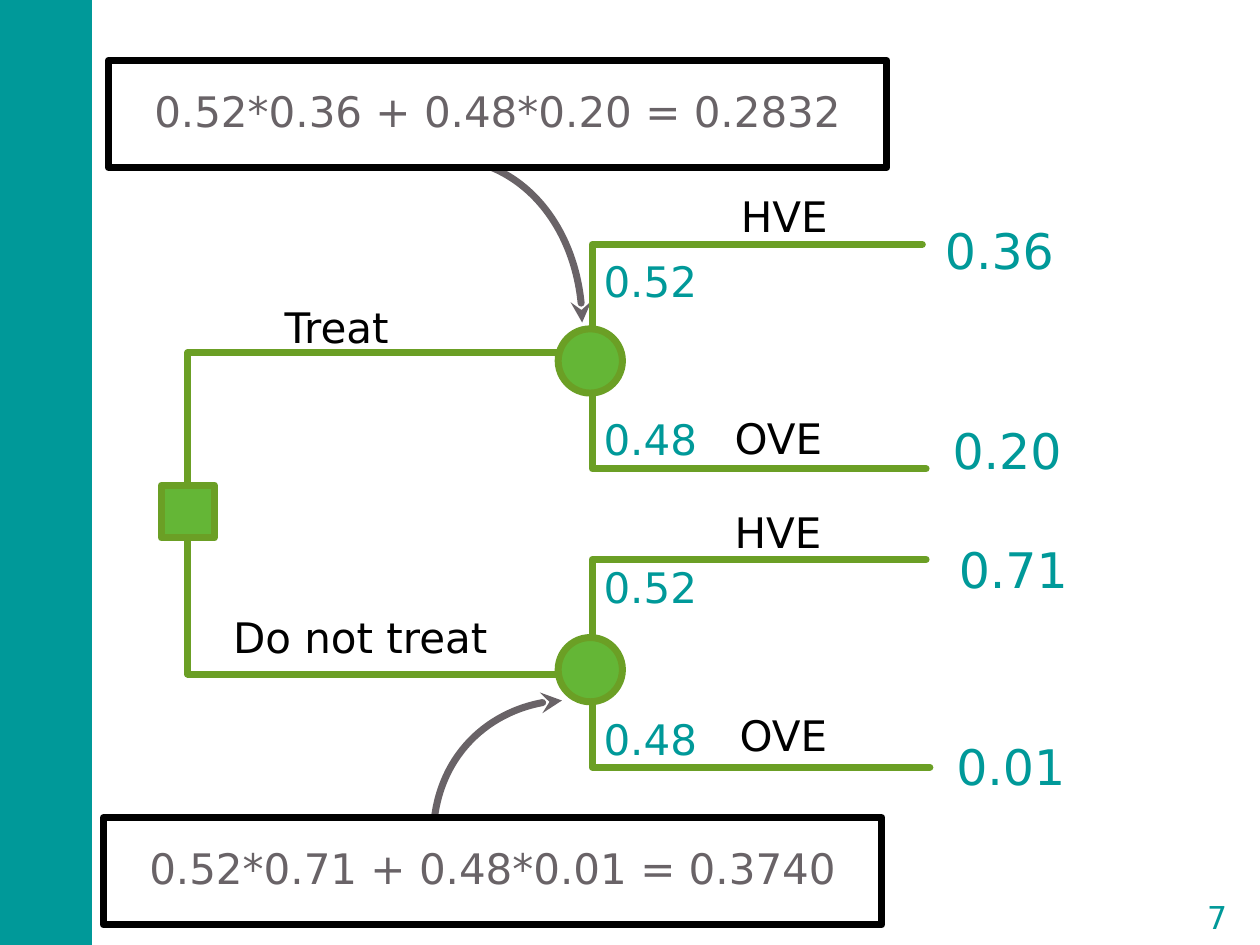
from lxml import etree
from pptx import Presentation
from pptx.dml.color import RGBColor
from pptx.enum.shapes import MSO_SHAPE
from pptx.enum.text import MSO_ANCHOR, MSO_AUTO_SIZE, PP_ALIGN
from pptx.oxml.ns import qn
from pptx.util import Inches, Pt

RECTANGLE = MSO_SHAPE.RECTANGLE
OVAL = MSO_SHAPE.OVAL
BRACKETS = MSO_SHAPE.DOUBLE_BRACKET
MIDDLE = MSO_ANCHOR.MIDDLE
GROW = MSO_AUTO_SIZE.SHAPE_TO_FIT_TEXT
LEFT, CENTER = PP_ALIGN.LEFT, PP_ALIGN.CENTER

FONT = "DejaVu Sans"
TEAL, GREEN, BRANCH = "009999", "64B636", "6B9F25"
GRAY, BLACK, WHITE = "696367", "000000", "FFFFFF"
FORK_X = 4.7


def color(value):
    return RGBColor.from_string(value)


def style_shape(shape, fill=None, line=None, width=4):
    shape.shadow.inherit = False
    if fill:
        shape.fill.solid()
        shape.fill.fore_color.rgb = color(fill)
    else:
        shape.fill.background()
    if line:
        shape.line.color.rgb = color(line)
        shape.line.width = Pt(width)
    else:
        shape.line.fill.background()


def add_box(slide, kind, left, top, width, height, fill=None, line=None, line_width=4):
    shape = slide.shapes.add_shape(
        kind, Inches(left), Inches(top), Inches(width), Inches(height))
    style_shape(shape, fill, line, line_width)
    return shape


def write(shape, text, size, text_color, alignment=LEFT, margins=(0.09, 0.05)):
    frame = shape.text_frame
    frame.text = text
    frame.margin_left = frame.margin_right = Inches(margins[0])
    frame.margin_top = frame.margin_bottom = Inches(margins[1])
    paragraph = frame.paragraphs[0]
    paragraph.alignment = alignment
    font = paragraph.runs[0].font
    font.name = FONT
    font.size = Pt(size)
    font.color.rgb = color(text_color)


def add_text(slide, text, left, top, width, height, size, text_color,
             wrap=False, alignment=LEFT, margins=(0.09, 0.05)):
    box = slide.shapes.add_textbox(
        Inches(left), Inches(top), Inches(width), Inches(height))
    write(box, text, size, text_color, alignment, margins)
    box.text_frame.word_wrap = wrap
    box.text_frame.auto_size = GROW


def add_path(slide, points, line):
    """Draw an open path with round ends and corners."""
    start, *others = [(Inches(x), Inches(y)) for x, y in points]
    builder = slide.shapes.build_freeform(*start)
    builder.add_line_segments(others, close=False)
    shape = builder.convert_to_shape()
    style_shape(shape, line=line)
    outline = shape.line._get_or_add_ln()
    outline.set("cap", "rnd")
    etree.SubElement(outline, qn("a:round"))
    return shape


def add_elbow(slide, x, start_y, end_y, end_x):
    add_path(slide, [(x, start_y), (x, end_y), (end_x, end_y)], BRANCH)


def add_curved_arrow(slide, points):
    """Turn a path of four points into one Bezier segment with an arrowhead."""
    shape = add_path(slide, points, GRAY)
    segments = list(shape.element.iter(qn("a:lnTo")))
    curve = etree.Element(qn("a:cubicBezTo"))
    segments[0].addprevious(curve)
    for segment in segments:
        curve.append(segment[0])
        segment.getparent().remove(segment)
    etree.SubElement(shape.line._get_or_add_ln(), qn("a:tailEnd"), type="stealth")


def add_branch_label(slide, text, left, top, width):
    add_text(slide, text, left, top, width, 0.48, 24, BLACK, margins=(0.08, 0.04))


def add_chance_node(slide, top, outcomes):
    """Draw a chance node with its outcome branches."""
    for branch in outcomes:
        add_elbow(slide, FORK_X, top + 0.2, branch["y"], branch["end"])
    add_box(slide, OVAL, 4.43, top, 0.51, 0.51, GREEN, BRANCH)
    for branch in outcomes:
        name, left, label_top = branch["label"]
        add_branch_label(slide, name, left, label_top, 0.87)
        chance, chance_top = branch["chance"]
        add_text(slide, chance, FORK_X, chance_top, 1.05, 0.5, 24, TEAL, wrap=True)
        value, left, value_top = branch["value"]
        add_text(slide, value, left, value_top, 1.07, 0.56, 28, TEAL)


def add_formula(slide, text, left, top):
    add_box(slide, RECTANGLE, left, top, 6.18, 0.85, WHITE, BLACK)
    add_text(slide, text, left, top + 0.15, 6.18, 0.51, 24, GRAY,
             wrap=True, alignment=CENTER, margins=(0.1, 0.05))


def main():
    presentation = Presentation()
    presentation.slide_width = Inches(10)
    presentation.slide_height = Inches(7.5)
    slide = presentation.slides.add_slide(presentation.slide_layouts[6])

    # Side band
    add_box(slide, RECTANGLE, 0, 0, 0.73, 7.5, TEAL)

    # Arrows from the formulas to the chance nodes
    add_curved_arrow(slide, [(3.5, 1.25), (4.12, 1.25), (4.62, 1.84), (4.62, 2.56)])
    add_curved_arrow(slide, [(3.44, 6.72), (3.41, 6.1), (3.87, 5.58), (4.46, 5.56)])

    # Decision and its two options
    add_elbow(slide, 1.49, 4, 2.8, 4.56)
    add_elbow(slide, 1.49, 4.28, 5.35, 4.54)
    add_branch_label(slide, "Treat", 2.18, 2.35, 1.02)
    add_branch_label(slide, "Do not treat", 1.77, 4.81, 2.24)
    add_box(slide, RECTANGLE, 1.28, 3.85, 0.42, 0.42, GREEN, BRANCH)

    # Chance nodes and outcomes
    add_chance_node(slide, 2.61, [
        {"y": 1.94, "end": 7.32, "label": ("HVE", 5.8, 1.47),
         "chance": ("0.52", 1.98), "value": ("0.36", 7.41, 1.7)},
        {"y": 3.72, "end": 7.35, "label": ("OVE", 5.75, 3.23),
         "chance": ("0.48", 3.23), "value": ("0.20", 7.47, 3.29)},
    ])
    add_chance_node(slide, 5.06, [
        {"y": 4.44, "end": 7.35, "label": ("HVE", 5.75, 3.98),
         "chance": ("0.52", 4.41), "value": ("0.71", 7.52, 4.23)},
        {"y": 6.09, "end": 7.38, "label": ("OVE", 5.79, 5.59),
         "chance": ("0.48", 5.61), "value": ("0.01", 7.5, 5.8)},
    ])

    # Expected values
    add_formula(slide, "0.52*0.36 + 0.48*0.20 = 0.2832", 0.86, 0.48)
    add_formula(slide, "0.52*0.71 + 0.48*0.01 = 0.3740", 0.82, 6.49)

    # Slide number
    number = add_box(slide, BRACKETS, 9.36, 7.06, 0.6, 0.43, line=WHITE, line_width=1.5)
    number.adjustments[0] = 0.18
    write(number, "7", 18, TEAL, CENTER, margins=(0, 0))
    number.text_frame.vertical_anchor = MIDDLE

    presentation.save("out.pptx")


main()
